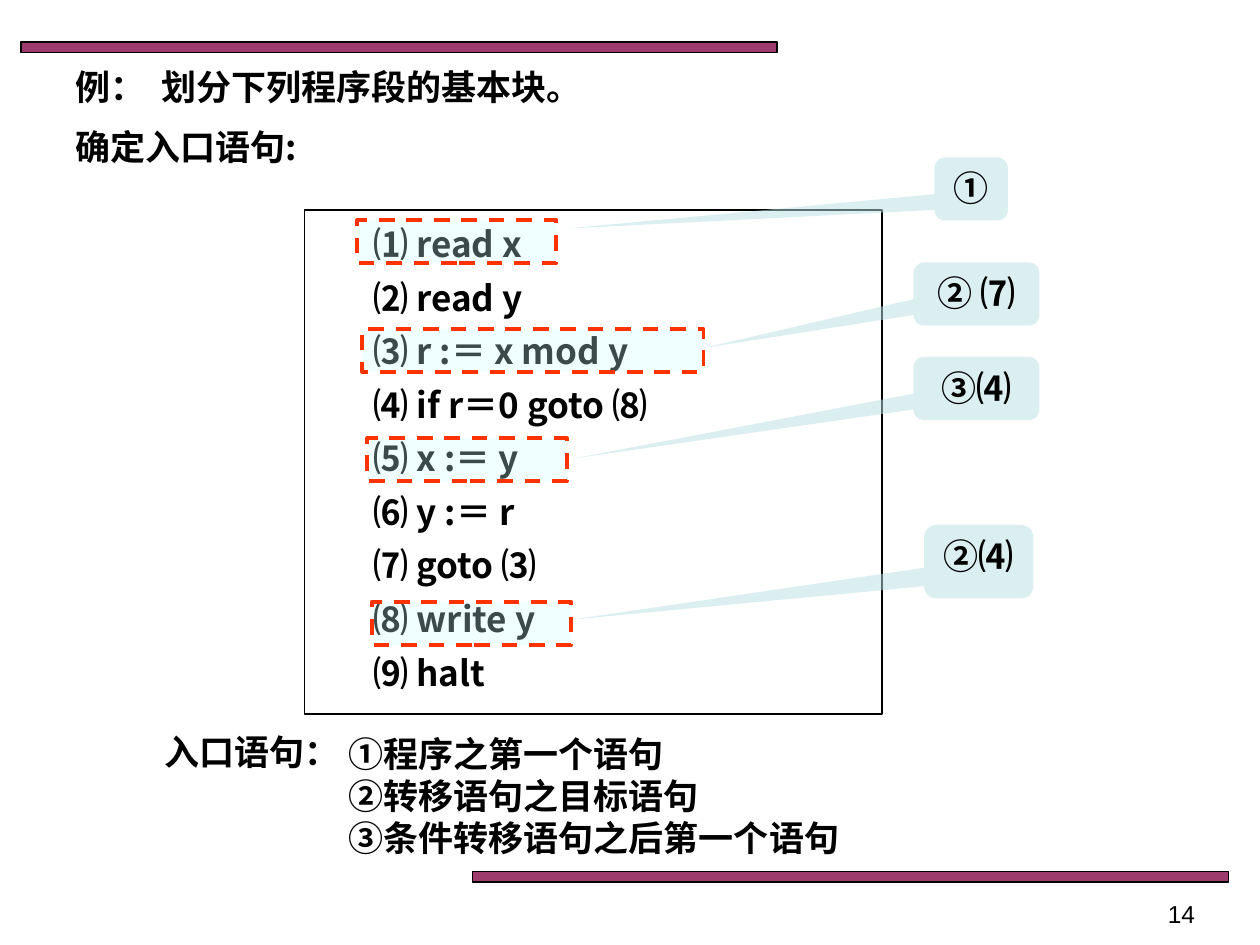
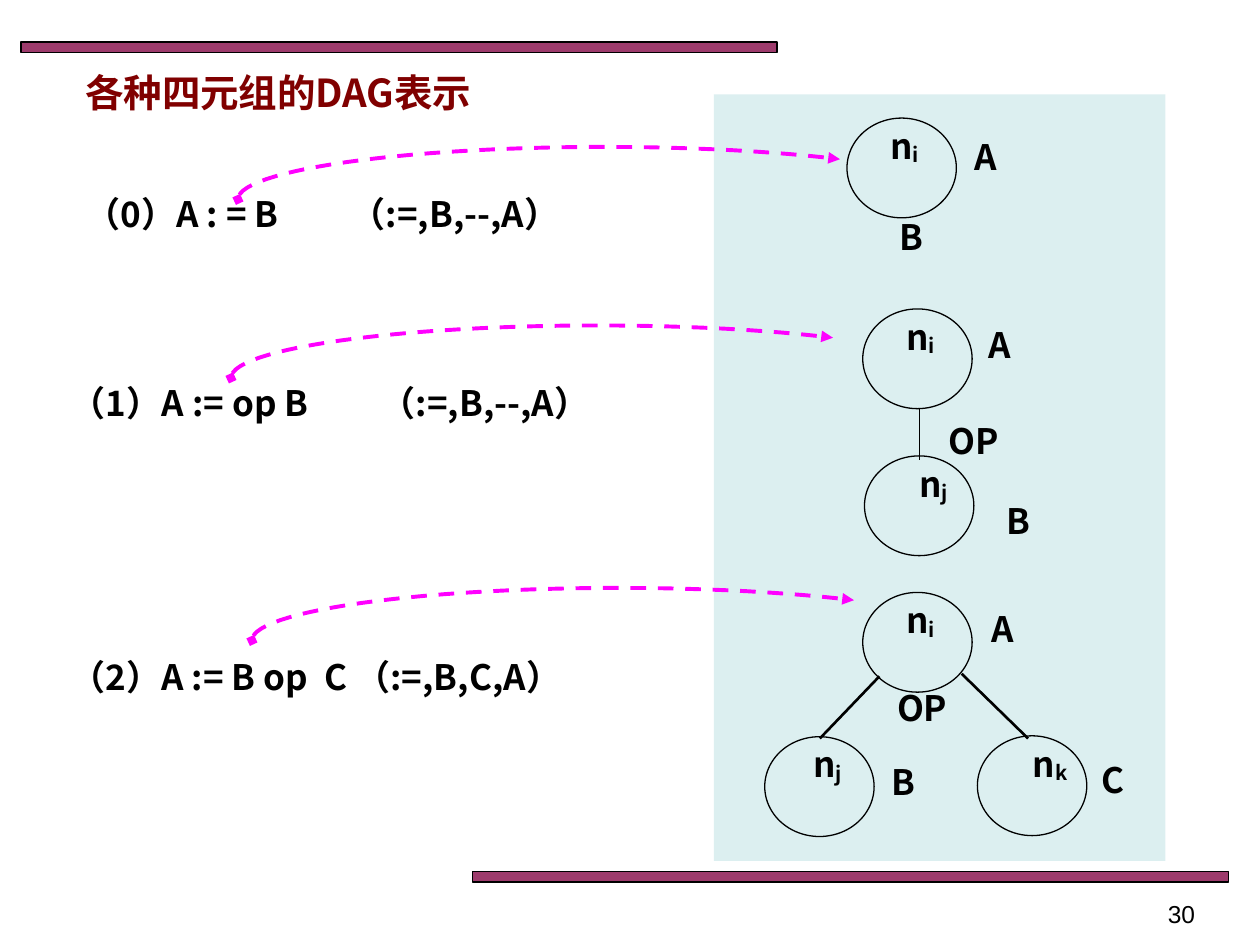
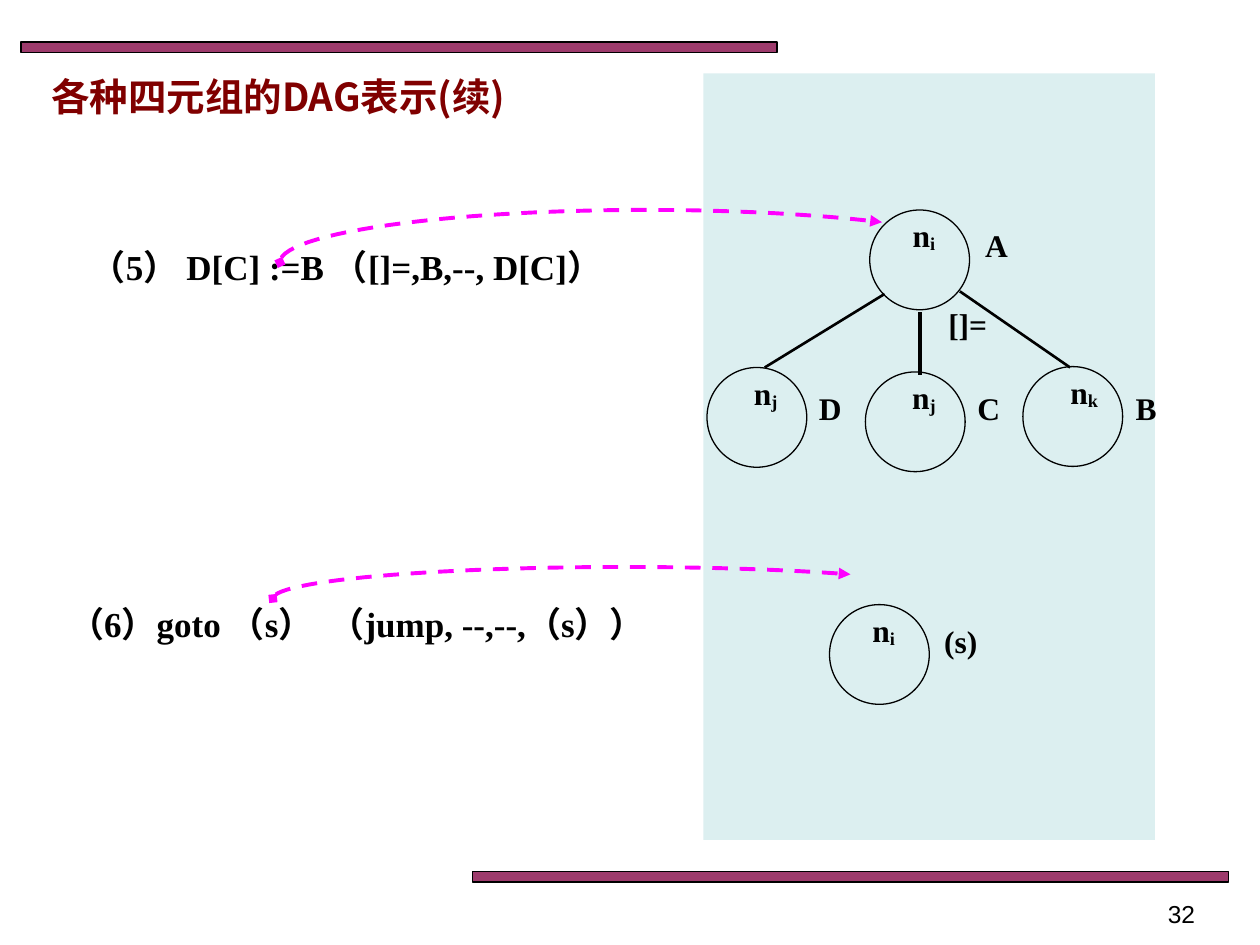
from math import cos, pi, radians, sin

from lxml import etree
from pptx import Presentation
from pptx import util as u
from pptx.dml.color import RGBColor
from pptx.enum import dml, shapes, text
from pptx.oxml.ns import qn

COLORS = {
    "ink": "000000",
    "title": "800000",
    "band": "993366",
    "panel": "BBE0E3",
    "code": "FFFFFF",
    "mark": "CCFFFF",
    "mark_edge": "FF3300",
    "arrow": "FF00FF",
}
SANS, SERIF = "Noto Sans CJK SC", "Times New Roman"
LEFT, CENTER, RIGHT = text.PP_ALIGN.LEFT, text.PP_ALIGN.CENTER, text.PP_ALIGN.RIGHT
KIND = shapes.MSO_SHAPE


def rgb(name):
    return RGBColor.from_string(COLORS[name])


def points(*lengths):
    return [u.Pt(length) for length in lengths]


def style_line(line, color, width, dashed=False):
    line.color.rgb = rgb(color)
    line.width = u.Pt(width)
    if dashed:
        line.dash_style = dml.MSO_LINE.DASH


def add_box(page, kind, place, fill=None, alpha=100, line=None, width=0.75, dashed=False):
    """Add a preset shape at place (left, top, width, height); alpha is opacity in percent."""
    box = page.shapes.add_shape(kind, *points(*place))
    box.shadow.inherit = False
    if fill:
        box.fill.solid()
        box.fill.fore_color.rgb = rgb(fill)
        if alpha < 100:
            color = box.fill._xPr.find(qn("a:solidFill"))[0]
            etree.SubElement(color, qn("a:alpha"), val=str(alpha * 1000))
    else:
        box.fill.background()
    if line:
        style_line(box.line, line, width, dashed)
    else:
        box.line.fill.background()
    return box


def style_para(para, size=20, font=SANS, color="ink", bold=True, align=CENTER):
    para.alignment = align
    para.font.size = u.Pt(size)
    para.font.bold = bold
    para.font.color.rgb = rgb(color)
    para.font.name = font
    etree.SubElement(para.font._element, qn("a:ea"), typeface=SANS)


def write(box, lines, before=0, spacing=None, margin=0, indent=0, **style):
    """Fill a shape with paragraphs; before is the gap as a share of the line height."""
    frame = box.text_frame
    frame.word_wrap = True
    frame.vertical_anchor = text.MSO_ANCHOR.TOP
    for index, line in enumerate(lines):
        para = frame.paragraphs[0] if index == 0 else frame.add_paragraph()
        para.add_run().text = line
        properties = para._p.get_or_add_pPr()
        if spacing:
            para.line_spacing = spacing
        if before:
            properties.get_or_add_spcBef().set_spcPct(before)
        if margin or indent:
            properties.set("marL", str(u.Pt(margin)))
            properties.set("indent", str(u.Pt(indent)))
        style_para(para, **style)


def add_text(page, place, *lines, **style):
    box = page.shapes.add_textbox(*points(*place))
    write(box, lines, **style)
    box.text_frame.auto_size = text.MSO_AUTO_SIZE.SHAPE_TO_FIT_TEXT
    return box


def add_tabbed_text(page, place, line, inset, tab):
    """Add one left-aligned line whose second part starts at a tab stop."""
    box = add_text(page, place, line, align=LEFT)
    box.text_frame.margin_left = u.Pt(inset)
    properties = box.text_frame.paragraphs[0]._p.get_or_add_pPr()
    stops = etree.Element(qn("a:tabLst"))
    etree.SubElement(stops, qn("a:tab"), pos=str(u.Pt(tab)), algn="l")
    properties.find(qn("a:defRPr")).addprevious(stops)


def add_node(page, place, subscript, name_width, **style):
    """Add a graph node: a circle with the name n and a subscript."""
    add_box(page, KIND.OVAL, place, line="ink")
    left, top = place[:2]
    name = add_text(page, (left + 10.5, top, name_width, 32), "n", **style)
    span = name.text_frame.paragraphs[0].add_run()
    span.text = subscript
    span.font._element.set("baseline", "-10000")


def add_edge(page, ends, width):
    edge = page.shapes.add_connector(shapes.MSO_CONNECTOR.STRAIGHT, *points(*ends))
    style_line(edge.line, "ink", width)
    etree.SubElement(edge._element.spPr, qn("a:effectLst"))


def add_arc_arrow(page, left, top, width=344, height=30):
    """Add a dashed arrow along an ellipse, from its left end to past its top."""
    sweep, steps = radians(130), 40
    radius = width / (1 + cos(pi - sweep))
    track = []
    for step in range(steps + 1):
        angle = sweep * step / steps
        x = left + radius * (1 - cos(angle))
        y = top + height * (1 - sin(angle))
        track.append(points(x, y))
    builder = page.shapes.build_freeform(*track[0])
    builder.add_line_segments(track[1:], close=False)
    arrow = builder.convert_to_shape()
    arrow.shadow.inherit = False
    arrow.fill.background()
    style_line(arrow.line, "arrow", 2.25, dashed=True)
    outline = arrow.line._get_or_add_ln()
    etree.SubElement(outline, qn("a:headEnd"), type="diamond")
    etree.SubElement(outline, qn("a:tailEnd"), type="triangle")


def add_page(deck, number):
    page = deck.slides.add_slide(deck.slide_layouts[6])
    for left, top in ((12, 24), (270, 498)):
        add_box(page, KIND.RECTANGLE, (left, top, 432, 6), "band", 96, "ink")
    add_text(page, (522, 510, 168, 19), str(number),
             size=14, font="Arial", bold=False, align=RIGHT)
    return page


def add_title(page, top, title):
    add_text(page, (6, top, 306, 34), title, size=22, color="title")


def add_panel(page, left, top):
    add_box(page, KIND.RECTANGLE, (left, top, 258, 438), "panel", 50)


def build_basic_blocks(deck):
    page = add_page(deck, 14)
    code = add_box(page, KIND.RECTANGLE, (174, 120, 330, 288), "code", line="ink")
    write(code, ["⑴ read x", "⑵ read y", "⑶ r :＝ x mod y", "⑷ if r＝0 goto ⑻", "⑸ x :＝ y",
                 "⑹ y :＝ r", "⑺ goto ⑶", "⑻ write y", "⑼ halt"],
          before=0.15, spacing=1.15, indent=32.4, align=text.PP_ALIGN.JUSTIFY)
    add_text(page, (36, 34, 618, 68), "例：  划分下列程序段的基本块。", "确定入口语句:",
             before=0.5, align=LEFT)
    add_text(page, (192, 415, 372, 79),
             "①程序之第一个语句", "②转移语句之目标语句", "③条件转移语句之后第一个语句",
             margin=19.5, indent=-19.5, align=LEFT)
    add_text(page, (54, 414, 180, 31), "入口语句：")

    callouts = [
        ("①", (534, 90, 42, 36), (-5.52, 0.63)),
        ("②⑷", (528, 300, 62.5, 42), (-3.73, 0.79)),
        ("③⑷", (522, 204, 72, 36), (-3.19, 1.11)),
        ("② ⑺", (522, 150, 72, 36), (-2.17, 0.86)),
    ]
    for reason, place, tip in callouts:
        callout = add_box(page, KIND.ROUNDED_RECTANGULAR_CALLOUT, place, "panel", 50)
        callout.adjustments[0], callout.adjustments[1] = tip
        write(callout, [reason])

    entries = [(204, 126, 114), (207, 188, 195), (210, 250.5, 114), (212.5, 344, 114)]
    for left, top, width in entries:
        add_box(page, KIND.RECTANGLE, (left, top, width, 24.5), "mark", 29,
                "mark_edge", 2.25, dashed=True)


def build_quadruples(deck):
    page = add_page(deck, 30)
    add_title(page, 36, "各种四元组的DAG表示")
    add_tabbed_text(page, (8.5, 106.5, 363, 32), "（0）A : = B\t（:=,B,--,A）", 40.5, 151.5)
    add_tabbed_text(page, (26.5, 214.5, 336, 31), "（1）A := op B\t（:=,B,--,A）", 14, 177)
    add_text(page, (13.5, 371, 334, 31), "（2）A := B op  C （:=,B,C,A）")
    add_panel(page, 408, 54)

    nodes = [
        (484, 67.5, "i", 45), (493, 176.5, "i", 45), (494, 260.5, "j", 58),
        (493, 338.5, "i", 45), (558.5, 420.5, "k", 62), (437, 421, "j", 51),
    ]
    for left, top, subscript, name_width in nodes:
        add_node(page, (left, top, 62.5, 57), subscript, name_width)

    edges = [
        ((525.5, 233.5, 525.5, 263), 0.75),
        ((502.5, 386.5, 468.5, 422), 1.5),
        ((587.5, 422, 549.5, 385), 1.5),
    ]
    for ends, width in edges:
        add_edge(page, ends, width)

    labels = [
        ("B", 501, 119.5, 40), ("A", 543.5, 74, 40), ("A", 551.5, 181.5, 40),
        ("OP", 530, 236, 53), ("B", 564, 282, 36), ("A", 553, 343.5, 40),
        ("OP", 500.5, 389, 53), ("B", 496, 431, 40), ("C", 616, 430, 40),
    ]
    for label, left, top, width in labels:
        add_text(page, (left, top, width, 32), label)

    for left, top in ((136, 84), (132, 186), (144, 336)):
        add_arc_arrow(page, left, top)


def build_quadruples_continued(deck):
    page = add_page(deck, 32)
    add_text(page, (30, 340.5, 348, 31), "（6）goto （s）  （jump, --,--,（s））", font=SERIF)
    add_panel(page, 402, 42)
    add_text(page, (24, 137, 348, 31), "（5） D[C] :=B （[]=,B,--, D[C]）", font=SERIF)

    graph_style = {"size": 18, "font": SERIF}
    nodes = [
        (474, 345.5, "i", 41), (497, 120, "i", 41), (404, 210, "j", 46),
        (584.5, 209.5, "k", 49), (494.5, 212.5, "j", 46),
    ]
    for left, top, subscript, name_width in nodes:
        add_node(page, (left, top, 57, 57), subscript, name_width, **graph_style)

    edges = [
        ((505.5, 168, 437, 210), 1.5),
        ((611.5, 210, 548.5, 166.5), 1.5),
        ((525.5, 178.5, 525.5, 214.5), 2.25),
    ]
    for ends, width in edges:
        add_edge(page, ends, width)

    labels = [
        ("(s)", 528, 352, 42), ("A", 551.5, 125.5, 36), ("[]=", 525, 170.5, 56),
        ("D", 456.5, 219, 36), ("B", 637, 219, 36), ("C", 547, 219, 36),
    ]
    for label, left, top, width in labels:
        add_text(page, (left, top, width, 36), label, **graph_style)

    add_arc_arrow(page, 160, 120)
    add_arc_arrow(page, 156, 324, 330, 18)
    add_title(page, 38, "各种四元组的DAG表示(续)")


def main():
    deck = Presentation()
    deck.slide_width, deck.slide_height = points(720, 540)
    build_basic_blocks(deck)
    build_quadruples(deck)
    build_quadruples_continued(deck)
    deck.save("out.pptx")


if __name__ == "__main__":
    main()
